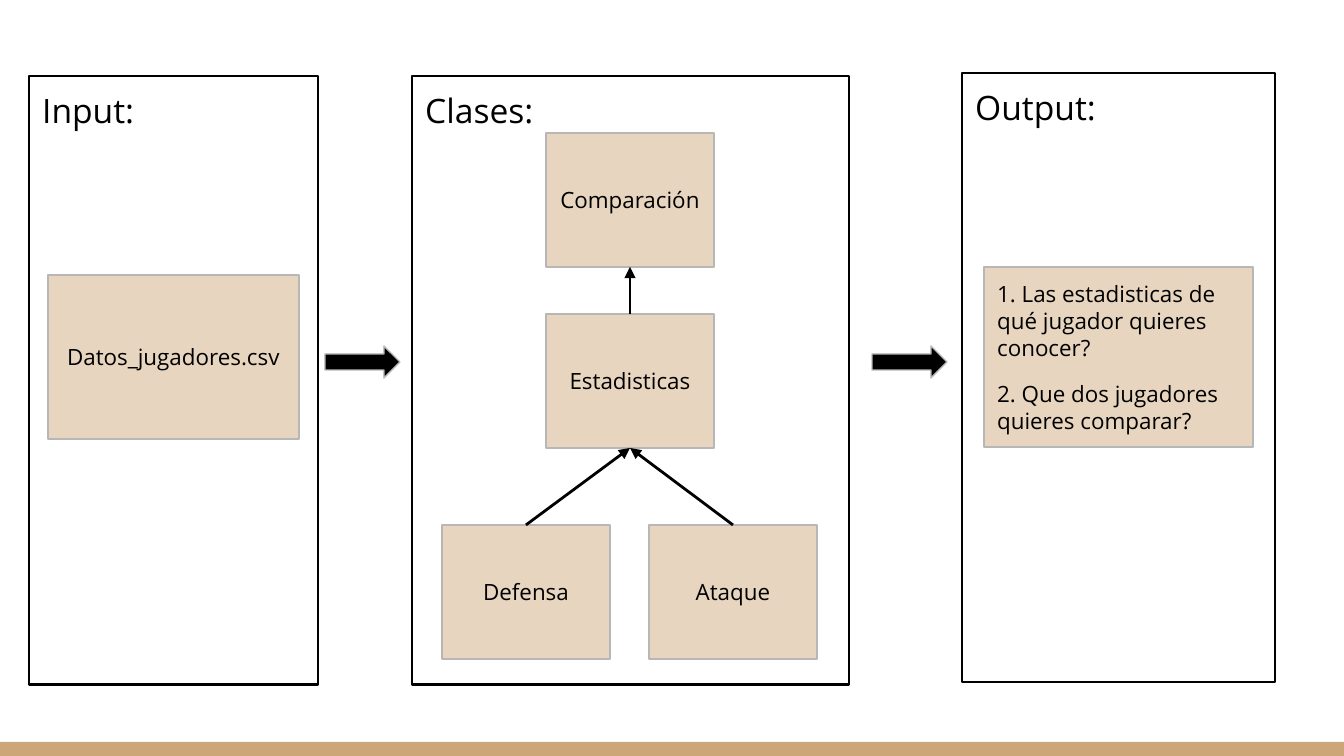
from lxml import etree
from pptx import Presentation
from pptx.dml.color import RGBColor
from pptx.enum.shapes import MSO_CONNECTOR, MSO_SHAPE
from pptx.enum.text import MSO_ANCHOR, PP_ALIGN
from pptx.oxml.ns import qn
from pptx.util import Inches, Pt

RECT, ARROW = MSO_SHAPE.RECTANGLE, MSO_SHAPE.RIGHT_ARROW
STRAIGHT = MSO_CONNECTOR.STRAIGHT
LEFT, CENTER = PP_ALIGN.LEFT, PP_ALIGN.CENTER
TOP, MIDDLE = MSO_ANCHOR.TOP, MSO_ANCHOR.MIDDLE
PX = 914400 / 134.4
TAN, GREY, BLACK = "CCA677", "B7B7B7", "000000"


def add_box(kind, bounds, fill=None, line=None, width=0.75):
    box = page.shapes.add_shape(kind, *[round(v * PX) for v in bounds])
    box.shadow.inherit = False
    if fill:
        box.fill.solid()
        box.fill.fore_color.rgb = RGBColor.from_string(fill)
    else:
        box.fill.background()
    if line:
        box.line.color.rgb = RGBColor.from_string(line)
        box.line.width = Pt(width)
    else:
        box.line.fill.background()
    return box


def write(box, text, size, align, anchor):
    frame = box.text_frame
    frame.text = text
    frame.word_wrap = True
    frame.vertical_anchor = anchor
    frame.margin_left = frame.margin_right = Inches(0.1)
    frame.margin_top = frame.margin_bottom = Inches(0.1)
    for number, para in enumerate(frame.paragraphs):
        para.alignment = align
        if number:
            para.space_before = Pt(10)
        font = para.runs[0].font
        font.name, font.size = "Open Sans", Pt(size)
        font.color.rgb = RGBColor.from_string(BLACK)


deck = Presentation()
deck.slide_width, deck.slide_height = round(1344 * PX), round(756 * PX)
page = deck.slides.add_slide(deck.slide_layouts[6])

add_box(RECT, (0, 742, 1344, 14), TAN)

# Three stages, with a block arrow between each pair
for title, bounds in [
    ("Input:", (29, 76, 289, 609)),
    ("Clases:", (412, 76, 437, 609)),
    ("Output:", (962, 73, 313, 609)),
]:
    stage = add_box(RECT, bounds, line=BLACK, width=1.5)
    write(stage, title, 18, LEFT, TOP)
for left in (325, 872):
    add_box(ARROW, (left, 346, 75, 32), BLACK, GREY)

# Contents of the stages
questions = ("1. Las estadisticas de qué jugador quieres conocer?\n"
             "2. Que dos jugadores quieres comparar?")
boxes = {}
for text, bounds, align in [
    ("Datos_jugadores.csv", (48, 275, 251, 164), CENTER),
    ("Comparación", (546, 133, 168, 134), CENTER),
    ("Estadisticas", (546, 314, 168, 134), CENTER),
    ("Defensa", (442, 525, 168, 134), CENTER),
    ("Ataque", (649, 525, 168, 134), CENTER),
    (questions, (984, 267, 269, 180), LEFT),
]:
    box = add_box(RECT, bounds, TAN, GREY)
    color = box.fill._xPr.find(qn("a:solidFill"))[0]
    etree.SubElement(color, qn("a:alpha"), val="47000")
    write(box, text, 12, align, MIDDLE)
    boxes[text] = box

# Class relations, from the top of one box to the bottom of another
for source, target in [
    ("Defensa", "Estadisticas"),
    ("Ataque", "Estadisticas"),
    ("Estadisticas", "Comparación"),
]:
    link = page.shapes.add_connector(STRAIGHT, 0, 0, 0, 0)
    link.begin_connect(boxes[source], 0)
    link.end_connect(boxes[target], 2)
    link.line.color.rgb = RGBColor.from_string(BLACK)
    link.line.width = Pt(1.5)
    etree.SubElement(link.line._get_or_add_ln(), qn("a:tailEnd"), type="triangle")
    etree.SubElement(link._element.spPr, qn("a:effectLst"))

deck.save("out.pptx")
